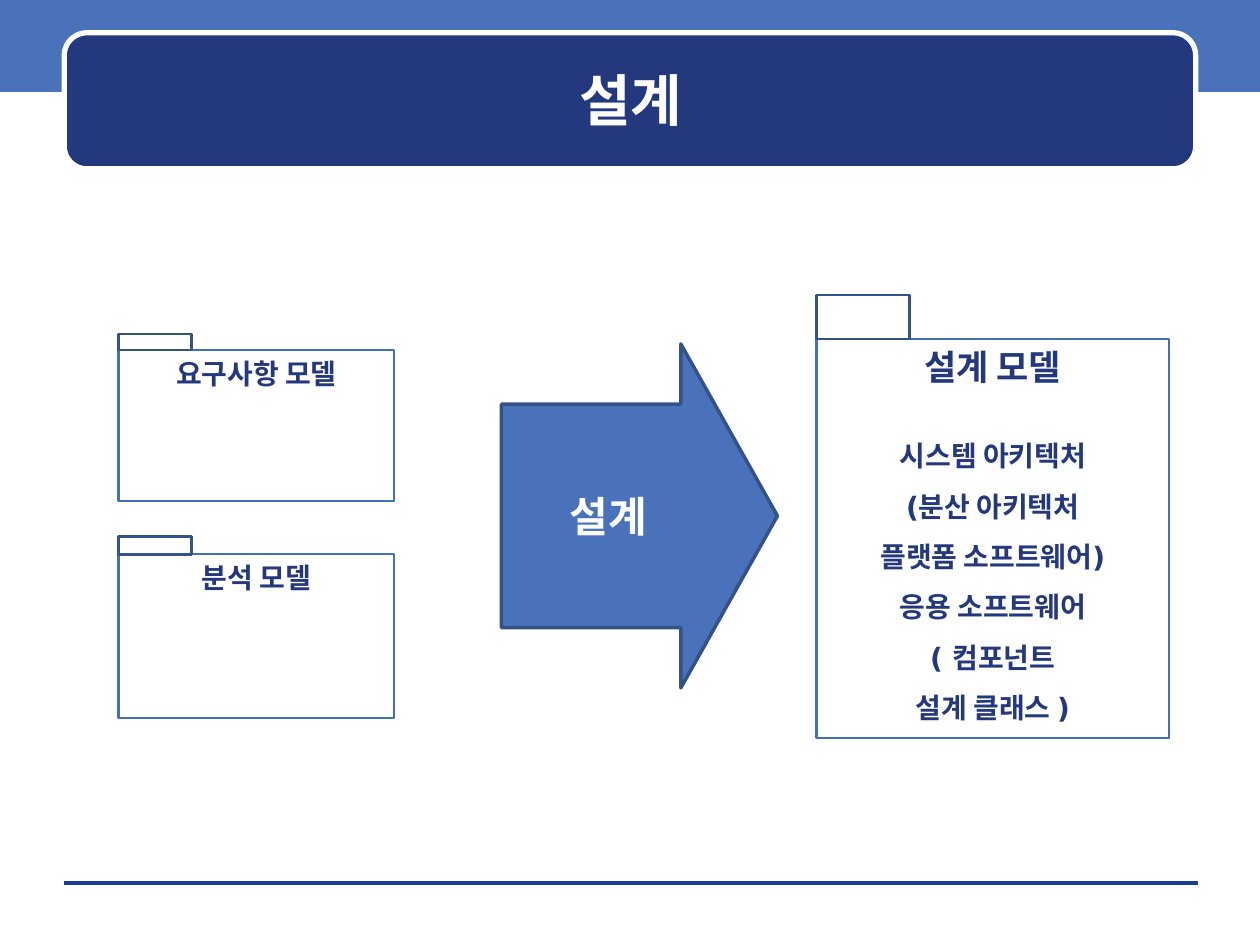
"""Build the design-stage slide: two input models, an arrow and the design model."""
from dataclasses import dataclass

from lxml import etree
from pptx import Presentation
from pptx.dml.color import RGBColor
from pptx.enum import shapes, text
from pptx.oxml import ns
from pptx.util import Inches, Pt


@dataclass(frozen=True)
class Theme:
    navy: str = "23387D"
    blue: str = "4972BB"
    outline: str = "446FBA"
    dark_outline: str = "335289"
    rule: str = "1A3D97"
    white: str = "FFFFFF"
    korean: str = "Noto Sans CJK KR"
    latin: str = "DejaVu Sans"
    title: int = 32
    arrow: int = 24
    heading: int = 20
    body: int = 16


THEME = Theme()
TITLE = "설계"
ARROW = "설계"
DESIGN_PARTS = [
    ("시스템 아키텍처", THEME.korean),
    ("(분산 아키텍처", THEME.latin),
    ("플랫폼 소프트웨어)", THEME.latin),
    ("응용 소프트웨어", THEME.korean),
    ("( 컴포넌트", THEME.latin),
    ("설계 클래스 )", THEME.latin),
]
FOLDERS = [
    {"label": "요구사항 모델", "body": (0.94, 2.78, 2.19, 1.2), "tab": (0.58, 0.13),
     "font": THEME.latin, "size": THEME.body, "parts": []},
    {"label": "분석 모델", "body": (0.94, 4.4, 2.19, 1.3), "tab": (0.58, 0.14),
     "font": THEME.latin, "size": THEME.body, "parts": []},
    {"label": "설계 모델", "body": (6.48, 2.69, 2.8, 3.17), "tab": (0.74, 0.35),
     "font": THEME.korean, "size": THEME.heading, "parts": DESIGN_PARTS},
]


def color(value):
    return RGBColor.from_string(value)


def add_box(parent, kind, box, fill=None, line=None, width=1):
    shape = parent.add_shape(kind, *map(Inches, box))
    shape.shadow.inherit = False
    if fill:
        shape.fill.solid()
        shape.fill.fore_color.rgb = color(fill)
    else:
        shape.fill.background()
    if line:
        shape.line.color.rgb = color(line)
        shape.line.width = Pt(width)
    else:
        shape.line.fill.background()
    return shape


def prepare_frame(shape, anchor):
    frame = shape.text_frame
    frame.word_wrap = True
    frame.vertical_anchor = anchor
    return frame


def write(paragraph, words, font, size, ink):
    paragraph.text = words
    paragraph.alignment = text.PP_ALIGN.CENTER
    paragraph.font.name = font
    paragraph.font.size = Pt(size)
    paragraph.font.bold = True
    paragraph.font.color.rgb = color(ink)
    for run in paragraph.runs:
        run.font.color.rgb = color(ink)


def add_rule(slide, left, right, top):
    rule = slide.shapes.add_connector(
        shapes.MSO_CONNECTOR.STRAIGHT, *map(Inches, (left, top, right, top)))
    rule.line.color.rgb = color(THEME.rule)
    rule.line.width = Pt(0)
    etree.SubElement(rule._element.spPr, ns.qn("a:effectLst"))


def add_header(slide):
    add_box(slide.shapes, shapes.MSO_SHAPE.RECTANGLE, (0, -0.03, 10, 0.76), THEME.blue)
    add_rule(slide, 0.51, 9.51, 7.01)
    add_box(slide.shapes, shapes.MSO_SHAPE.ROUNDED_RECTANGLE,
            (0.51, 0.26, 8.98, 1.08), THEME.navy, THEME.white, 3)
    title = slide.shapes.add_textbox(*map(Inches, (0.6, 0.35, 8.81, 0.88)))
    frame = prepare_frame(title, text.MSO_ANCHOR.MIDDLE)
    write(frame.paragraphs[0], TITLE, THEME.korean, THEME.title, THEME.white)


def add_arrow(slide):
    arrow = add_box(slide.shapes, shapes.MSO_SHAPE.RIGHT_ARROW,
                    (3.98, 2.73, 2.19, 2.73), THEME.blue, THEME.dark_outline, 2)
    arrow.adjustments[0] = 0.65
    arrow.adjustments[1] = 0.35
    frame = prepare_frame(arrow, text.MSO_ANCHOR.MIDDLE)
    write(frame.paragraphs[0], ARROW, THEME.latin, THEME.arrow, THEME.white)


def add_folder(slide, folder):
    left, top, _, _ = folder["body"]
    tab_width, tab_height = folder["tab"]
    group = slide.shapes.add_group_shape()
    body = add_box(group.shapes, shapes.MSO_SHAPE.RECTANGLE, folder["body"],
                   line=THEME.outline, width=1.25)
    add_box(group.shapes, shapes.MSO_SHAPE.RECTANGLE,
            (left, top - tab_height, tab_width, tab_height),
            line=THEME.dark_outline, width=1.5)
    frame = prepare_frame(body, text.MSO_ANCHOR.TOP)
    write(frame.paragraphs[0], folder["label"], folder["font"], folder["size"], THEME.navy)
    for index, (words, font) in enumerate(folder["parts"]):
        paragraph = frame.add_paragraph()
        paragraph.line_spacing = 1.5
        if index == 0:
            paragraph.space_before = Pt(20)
        write(paragraph, words, font, THEME.body, THEME.navy)


def main():
    presentation = Presentation()
    presentation.slide_width = Inches(10)
    presentation.slide_height = Inches(7.5)
    slide = presentation.slides.add_slide(presentation.slide_layouts[6])
    add_header(slide)
    add_arrow(slide)
    for folder in FOLDERS:
        add_folder(slide, folder)
    presentation.save("out.pptx")


if __name__ == "__main__":
    main()
